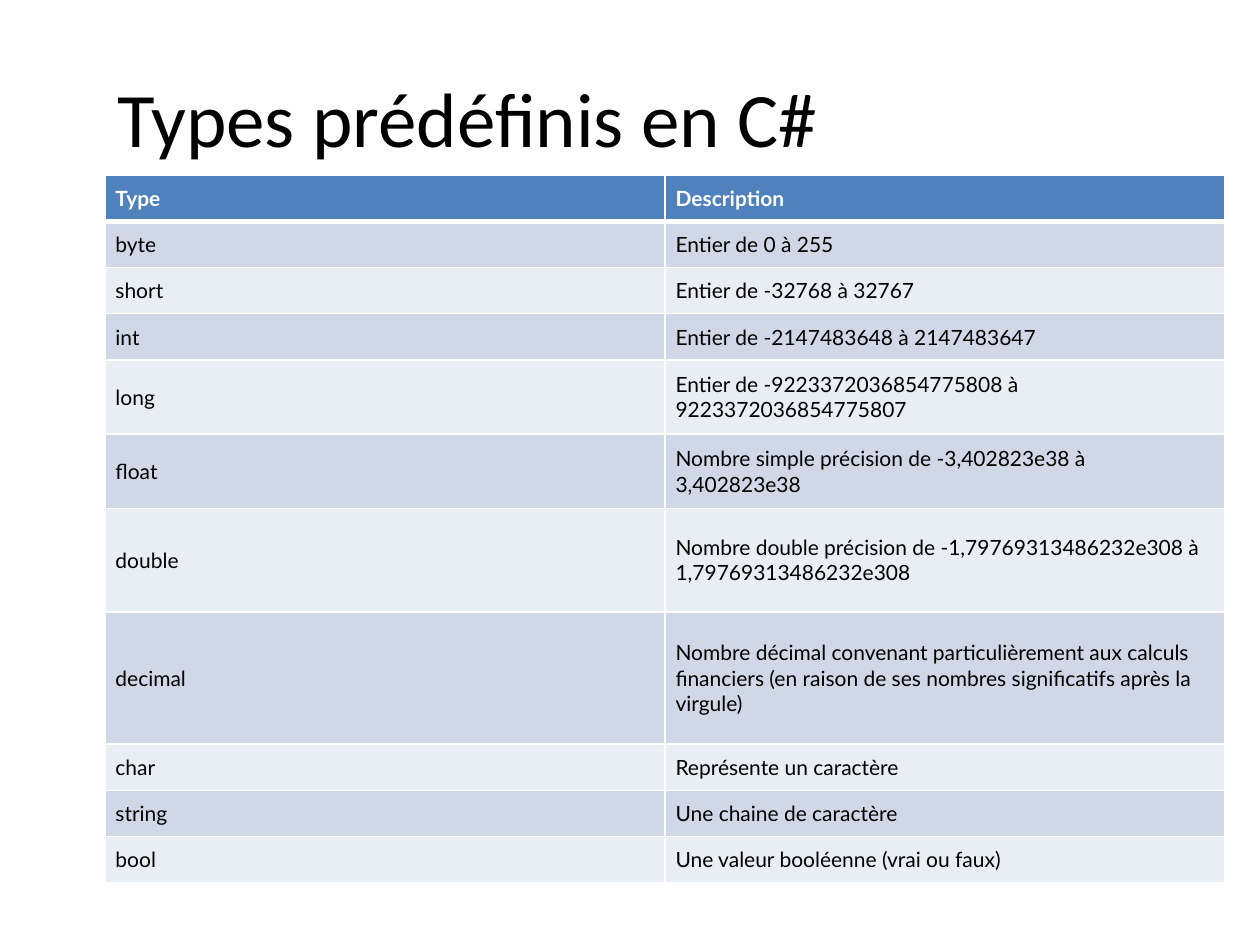
from dataclasses import dataclass

from lxml import etree
from pptx import Presentation
from pptx import util as u
from pptx.dml.color import RGBColor
from pptx.enum import text
from pptx.oxml import ns


@dataclass(frozen=True)
class Theme:
    title_font: str = "Calibri"
    table_font: str = "Lato"
    title_size: int = 44
    table_size: int = 12
    ink: str = "000000"
    white: str = "FFFFFF"
    header: str = "4F81BD"
    bands: tuple[str, str] = ("D0D8E8", "E9EDF4")
    thin: int = 1
    thick: int = 3
    cell_inset: int = 6


@dataclass(frozen=True)
class PredefinedType:
    name: str
    description: str
    height: float = 0.36


THEME = Theme()
WIDTH, HEIGHT = u.Inches(10), u.Inches(7.5)
LEFT = WIDTH // 12
TABLE_TOP = u.Inches(1.39)
COLUMN = u.Inches(4.445)
HEADER = PredefinedType("Type", "Description")
TYPES = [
    PredefinedType("byte", "Entier de 0 à 255"),
    PredefinedType("short", "Entier de -32768 à 32767"),
    PredefinedType("int", "Entier de -2147483648 à 2147483647"),
    PredefinedType("long", "Entier de -9223372036854775808 à 9223372036854775807", 0.59),
    PredefinedType("float", "Nombre simple précision de -3,402823e38 à 3,402823e38", 0.59),
    PredefinedType("double", "Nombre double précision de -1,79769313486232e308 à "
                   "1,79769313486232e308", 0.82),
    PredefinedType("decimal", "Nombre décimal convenant particulièrement aux calculs "
                   "financiers (en raison de ses nombres significatifs après la virgule)",
                   1.05),
    PredefinedType("char", "Représente un caractère"),
    PredefinedType("string", "Une chaine de caractère"),
    PredefinedType("bool", "Une valeur booléenne (vrai ou faux)"),
]


def set_font(p, name: str, size: int, color: str, bold: bool = False) -> None:
    p.font.name, p.font.size, p.font.bold = name, u.Pt(size), bold
    p.font.color.rgb = RGBColor.from_string(color)


def add_title(s, title: str) -> None:
    box = s.shapes.add_textbox(LEFT, HEIGHT * 0.04, WIDTH * 0.883, HEIGHT / 6)
    tf = box.text_frame
    tf.word_wrap = True
    tf.vertical_anchor = text.MSO_ANCHOR.MIDDLE
    tf.text = title
    set_font(tf.paragraphs[0], THEME.title_font, THEME.title_size, THEME.ink)


def set_borders(cell, top: int, bottom: int) -> None:
    """Draw the four white borders; call before filling, as the schema orders them."""
    tc_pr = cell._tc.get_or_add_tcPr()
    widths = {"L": THEME.thin, "R": THEME.thin, "T": top, "B": bottom}
    for side, width in widths.items():
        ln = etree.SubElement(tc_pr, ns.qn(f"a:ln{side}"), w=str(u.Pt(width)))
        fill = etree.SubElement(ln, ns.qn("a:solidFill"))
        etree.SubElement(fill, ns.qn("a:srgbClr"), val=THEME.white)


def fill_cell(cell, content: str, row: int) -> None:
    is_header = row == 0
    set_borders(cell,
                top=THEME.thick if row == 1 else THEME.thin,
                bottom=THEME.thick if is_header else THEME.thin)
    color = THEME.header if is_header else THEME.bands[(row - 1) % 2]
    cell.fill.solid()
    cell.fill.fore_color.rgb = RGBColor.from_string(color)
    inset = u.Pt(THEME.cell_inset)
    cell.margin_left = cell.margin_right = inset
    cell.margin_top = cell.margin_bottom = inset
    cell.vertical_anchor = text.MSO_ANCHOR.MIDDLE
    cell.text = content
    set_font(cell.text_frame.paragraphs[0], THEME.table_font, THEME.table_size,
             THEME.white if is_header else THEME.ink, is_header)


def add_type_table(s, rows: list[PredefinedType]) -> None:
    height = u.Inches(sum(row.height for row in rows))
    table = s.shapes.add_table(len(rows), 2, LEFT, TABLE_TOP, 2 * COLUMN, height).table
    for i, row in enumerate(rows):
        table.rows[i].height = u.Inches(row.height)
        for j, content in enumerate((row.name, row.description)):
            fill_cell(table.cell(i, j), content, i)


def main() -> None:
    prs = Presentation()
    prs.slide_width, prs.slide_height = WIDTH, HEIGHT
    s = prs.slides.add_slide(prs.slide_layouts[6])
    add_title(s, "Types prédéfinis en C#")
    add_type_table(s, [HEADER, *TYPES])
    prs.save("out.pptx")


if __name__ == "__main__":
    main()
